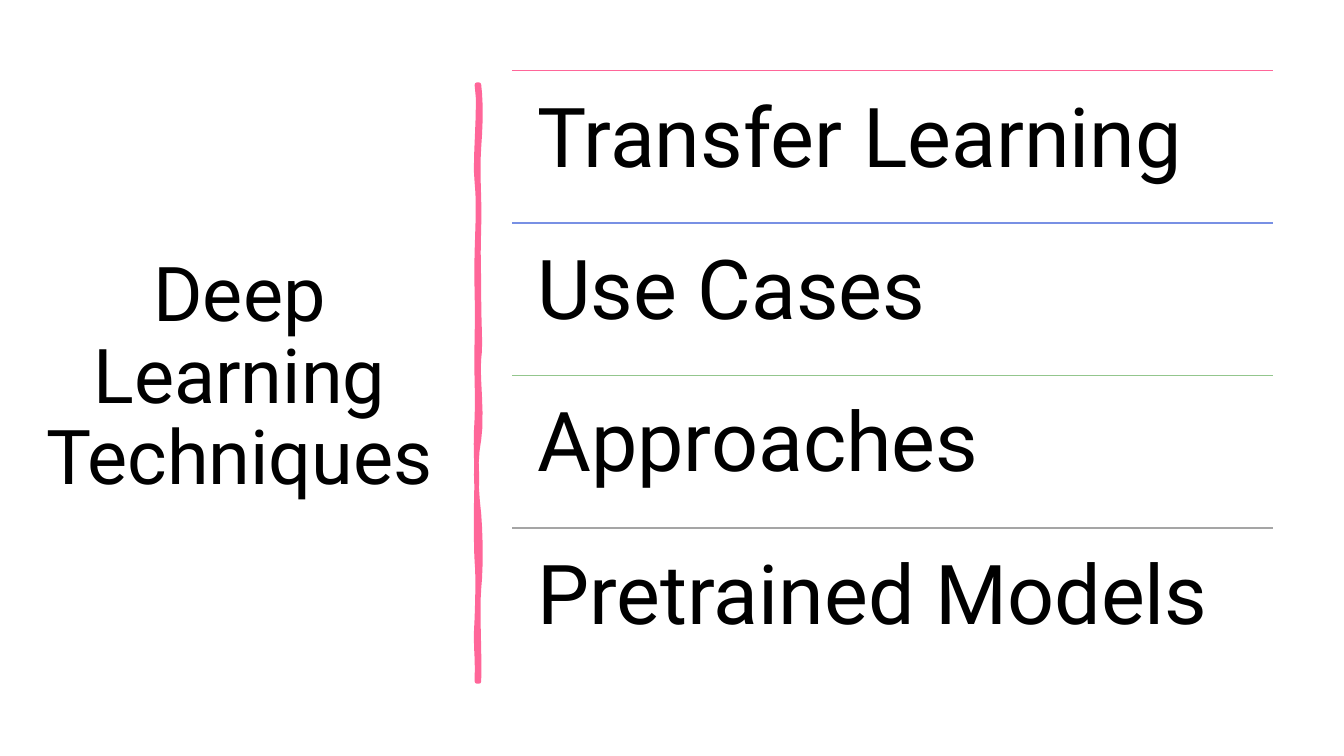
from dataclasses import dataclass

from lxml import etree
from pptx import Presentation
from pptx import util as u
from pptx.dml.color import RGBColor
from pptx.enum import shapes, text
from pptx.oxml import ns


@dataclass(frozen=True)
class Theme:
    font: str = "Roboto"
    ink: str = "000000"
    accent: str = "FF6699"
    title_size: float = 54
    topic_size: float = 59
    rule_width: float = 1
    divider_width: float = 3.25


THEME = Theme()

TOPICS = [
    ("Transfer Learning", THEME.accent),
    ("Use Cases", "7890E4"),
    ("Approaches", "93C68D"),
    ("Pretrained Models", "A5A5A5"),
]

STROKE_EDGE = [
    (0.02, 0), (0.04, 0.18), (0.04, 0.35), (0.02, 0.62),
    (0, 0.89), (0.03, 1.11), (0.02, 1.42),
    (0.01, 1.73), (0.02, 1.78), (0.02, 2.1),
    (0.02, 2.41), (0.04, 2.58), (0.02, 2.72),
    (0, 2.86), (0.06, 3.3), (0.02, 3.52),
    (-0.02, 3.73), (-0.01, 4), (0.02, 4.26),
    (0.04, 4.52), (0.04, 4.8), (0.02, 5),
    (0, 5.19), (0.03, 5.66), (0.02, 5.92),
    (0.01, 5.92), (0, 5.92), (0, 5.92),
    (0.01, 5.62), (-0.02, 5.6), (0, 5.29),
    (0.01, 4.99), (0.01, 4.86), (0, 4.73),
    (-0.01, 4.6), (-0.01, 4.11), (0, 3.93),
    (0, 3.75), (-0.02, 3.61), (0, 3.31),
    (0.01, 3.02), (-0.01, 2.89), (0, 2.51),
    (0.01, 2.14), (-0.01, 1.97), (0, 1.66),
    (0.01, 1.34), (0.02, 1.16), (0, 0.97),
    (-0.03, 0.79), (0.04, 0.2), (0, 0),
]


def add_text(slide, box, words, size, margins, align, anchor):
    shape = slide.shapes.add_textbox(*map(u.Inches, box))
    frame = shape.text_frame
    frame.word_wrap = True
    frame.vertical_anchor = anchor
    frame.margin_left = frame.margin_right = u.Inches(margins[0])
    frame.margin_top = frame.margin_bottom = u.Inches(margins[1])
    frame.text = words
    paragraph = frame.paragraphs[0]
    paragraph.alignment = align
    paragraph.line_spacing = 0.9
    font = paragraph.runs[0].font
    font.name = THEME.font
    font.size = u.Pt(size)
    font.color.rgb = RGBColor.from_string(THEME.ink)


def add_title(slide, box):
    add_text(slide, box, "Deep Learning Techniques", THEME.title_size,
             (0.1, 0.05), text.PP_ALIGN.CENTER, text.MSO_ANCHOR.MIDDLE)


def curve_points(controls, steps=6):
    points = [controls[0]]
    for index in range(0, len(controls) - 1, 3):
        a, b, c, d = controls[index:index + 4]
        for step in range(1, steps + 1):
            t = step / steps
            s = 1 - t
            points.append(tuple(
                s**3 * a[axis] + 3 * s * s * t * b[axis]
                + 3 * s * t * t * c[axis] + t**3 * d[axis]
                for axis in (0, 1)))
    return points


def add_divider(slide, left, top):
    outline = [(u.Inches(left + x), u.Inches(top + y))
               for x, y in curve_points(STROKE_EDGE)]
    builder = slide.shapes.build_freeform(*outline[0])
    builder.add_line_segments(outline[1:], close=True)
    shape = builder.convert_to_shape()
    shape.shadow.inherit = False
    color = RGBColor.from_string(THEME.accent)
    shape.fill.solid()
    shape.fill.fore_color.rgb = color
    shape.line.color.rgb = color
    shape.line.width = u.Pt(THEME.divider_width)
    line = shape.line._get_or_add_ln()
    line.set("cap", "rnd")
    etree.SubElement(line, ns.qn("a:round"))


def add_rule(slide, left, top, width, color):
    rule = slide.shapes.add_connector(
        shapes.MSO_CONNECTOR.STRAIGHT, u.Inches(left), u.Inches(top),
        u.Inches(left + width), u.Inches(top))
    rule.line.color.rgb = RGBColor.from_string(color)
    rule.line.width = u.Pt(THEME.rule_width)
    etree.SubElement(rule._element.spPr, ns.qn("a:effectLst"))


def add_topics(slide, box):
    left, top, width, height = box
    row_height = height / len(TOPICS)
    for index, (topic, color) in enumerate(TOPICS):
        row_top = top + index * row_height
        add_rule(slide, left, row_top, width, color)
        add_text(slide, (left, row_top, width, row_height), topic,
                 THEME.topic_size, (0.25, 0.25),
                 text.PP_ALIGN.LEFT, text.MSO_ANCHOR.TOP)


def main():
    presentation = Presentation()
    presentation.slide_width = u.Inches(13.33)
    presentation.slide_height = u.Inches(7.5)
    slide = presentation.slides.add_slide(presentation.slide_layouts[6])
    add_title(slide, (0.07, 0.7, 4.61, 6.11))
    add_divider(slide, 4.73, 0.84)
    add_topics(slide, (5.08, 0.7, 7.55, 6.05))
    presentation.save("out.pptx")


if __name__ == "__main__":
    main()
